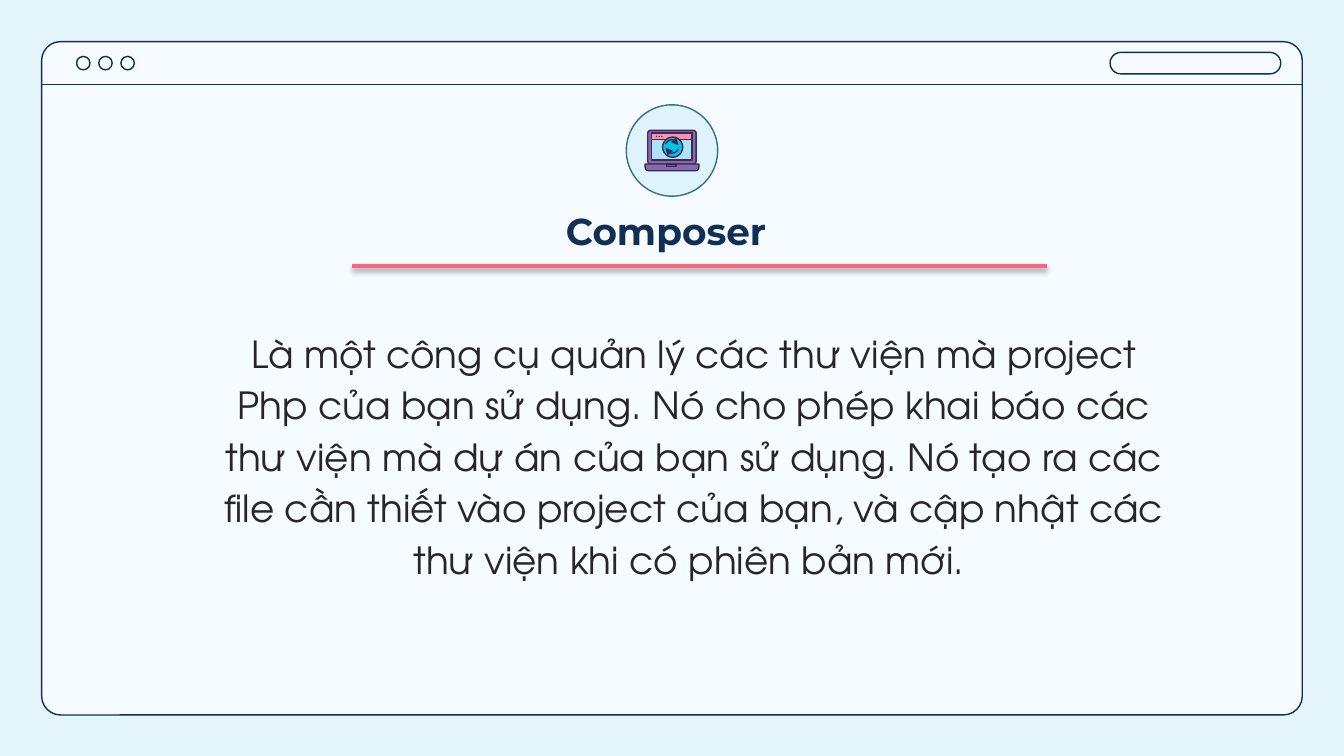
"""Build the Composer slide: a browser window with an icon, a heading and a text."""
import dataclasses

import lxml.etree
import pptx
import pptx.dml.color
import pptx.enum.shapes
import pptx.enum.text
import pptx.oxml.ns
import pptx.util

Inches = pptx.util.Inches
Pt = pptx.util.Pt
Kind = pptx.enum.shapes.MSO_SHAPE
qn = pptx.oxml.ns.qn


@dataclasses.dataclass(frozen=True)
class Theme:
    back: str = "E4F5FB"
    panel: str = "F5FBFF"
    navy: str = "112E54"
    ink: str = "262626"
    badge: str = "DFF3FC"
    rim: str = "356B90"
    pink: str = "FF6180"
    rose: str = "FF93A9"
    sky: str = "AEE2F4"
    cyan: str = "00C7E6"
    mauve: str = "866AAC"
    plum: str = "3E285A"
    head: str = "Montserrat"
    body: str = "TeX Gyre Adventor"
    size: int = 20
    thin: float = 0.75
    bold: float = 2


THEME = Theme()


def color(code):
    return pptx.dml.color.RGBColor.from_string(code)


def add_node(parent, tag, **attrs):
    node = lxml.etree.SubElement(parent, qn(tag))
    for name, value in attrs.items():
        node.set(name, str(value))
    return node


def add_form(slide, kind, box, fill=None, line=None, adjust=()):
    form = slide.shapes.add_shape(kind, *map(Inches, box))
    form.shadow.inherit = False
    for index, value in enumerate(adjust):
        form.adjustments[index] = value
    if fill:
        form.fill.solid()
        form.fill.fore_color.rgb = color(fill)
    else:
        form.fill.background()
    if line:
        form.line.color.rgb = color(line)
        form.line.width = Pt(THEME.thin)
    else:
        form.line.fill.background()
    return form


def add_rule(slide, left, right, top, tint, width, shade=False):
    rule = slide.shapes.add_connector(
        pptx.enum.shapes.MSO_CONNECTOR.STRAIGHT,
        Inches(left), Inches(top), Inches(right), Inches(top))
    rule.line.color.rgb = color(tint)
    rule.line.width = Pt(width)
    effects = add_node(rule.element.spPr, "a:effectLst")
    if shade:
        shadow = add_node(effects, "a:outerShdw", blurRad=Pt(3.1), dist=Pt(1.6),
                          dir=90 * 60000, algn="bl", rotWithShape=0)
        black = add_node(shadow, "a:srgbClr", val="000000")
        add_node(black, "a:alpha", val=38000)


def add_frame(slide):
    add_form(slide, Kind.ROUNDED_RECTANGLE, (0.31, 0.31, 9.38, 5.01),
             THEME.panel, THEME.navy, [0.028])
    for step in range(3):
        add_form(slide, Kind.OVAL, (0.57 + step * 0.165, 0.42, 0.1, 0.1),
                 line=THEME.navy)
    add_form(slide, Kind.ROUNDED_RECTANGLE, (8.26, 0.39, 1.27, 0.16),
             line=THEME.navy, adjust=[0.5])
    add_rule(slide, 0.31, 9.69, 0.63, THEME.navy, THEME.thin)


def add_icon(slide):
    add_form(slide, Kind.OVAL, (4.66, 0.78, 0.68, 0.68), THEME.badge, THEME.rim)
    add_form(slide, Kind.ROUNDED_RECTANGLE, (4.82, 0.97, 0.36, 0.25),
             THEME.mauve, THEME.plum, [0.08])
    add_form(slide, Kind.RECTANGLE, (4.85, 0.99, 0.3, 0.2), THEME.sky, THEME.plum)
    add_form(slide, Kind.RECTANGLE, (4.85, 0.99, 0.3, 0.05), THEME.rose, THEME.plum)
    for step in range(3):
        add_form(slide, Kind.OVAL, (4.88 + step * 0.02, 1.01, 0.01, 0.01), THEME.plum)
    base = add_form(slide, Kind.ROUND_2_SAME_RECTANGLE, (4.8, 1.22, 0.4, 0.05),
                    THEME.mauve, THEME.plum, [0.5, 0])
    base.rotation = 180
    add_form(slide, Kind.RECTANGLE, (4.96, 1.22, 0.07, 0.02), THEME.rim, THEME.plum)
    add_form(slide, Kind.OVAL, (4.93, 1.02, 0.15, 0.15), THEME.cyan, THEME.plum)
    for turn in (0, 180):
        arrow = add_form(slide, Kind.ARC, (4.95, 1.04, 0.1, 0.1),
                         line=THEME.plum, adjust=[120, 210])
        arrow.rotation = turn
        add_node(arrow.element.spPr.find(qn("a:ln")), "a:tailEnd",
                 type="triangle", w="sm", len="sm")


def set_text(slide, holder, box, text, font, tint, bold=False):
    holder.left, holder.top, holder.width, holder.height = map(Inches, box)
    frame = holder.text_frame
    frame.text = text
    frame.word_wrap = True
    frame.auto_size = pptx.enum.text.MSO_AUTO_SIZE.NONE
    frame.vertical_anchor = pptx.enum.text.MSO_ANCHOR.BOTTOM
    frame.margin_left = frame.margin_right = Inches(0.1)
    frame.margin_top = frame.margin_bottom = Inches(0.1)
    line = frame.paragraphs[0]
    line.alignment = pptx.enum.text.PP_ALIGN.CENTER
    line.line_spacing = 1.15
    line.space_before = Pt(0)
    props = holder.element.find(".//" + qn("a:pPr"))
    props.set("marL", "0")
    props.set("indent", "0")
    add_node(props, "a:buNone")
    style = line.runs[0].font
    style.name, style.size, style.bold = font, Pt(THEME.size), bold
    style.color.rgb = color(tint)
    slide.shapes.element.append(holder.element)


def main():
    deck = pptx.Presentation()
    deck.slide_width = Inches(10)
    deck.slide_height = deck.slide_width * 9 // 16
    slide = deck.slides.add_slide(deck.slide_layouts[1])
    title, body = slide.placeholders
    slide.background.fill.solid()
    slide.background.fill.fore_color.rgb = color(THEME.back)
    add_frame(slide)
    add_icon(slide)
    set_text(slide, title, (3.64, 1.39, 2.71, 0.59), "Composer ",
             THEME.head, THEME.navy, True)
    set_text(slide, body, (1.5, 2.26, 7.33, 2.17),
             "Là một công cụ quản lý các thư viện mà project Php của bạn sử dụng. "
             "Nó cho phép khai báo các thư viện mà dự án của bạn sử dụng. "
             "Nó tạo ra các file cần thiết vào project của bạn, "
             "và cập nhật các thư viện khi có phiên bản mới. ",
             THEME.body, THEME.ink)
    add_rule(slide, 2.62, 7.79, 1.98, THEME.pink, THEME.bold, True)
    deck.save("out.pptx")


if __name__ == "__main__":
    main()
